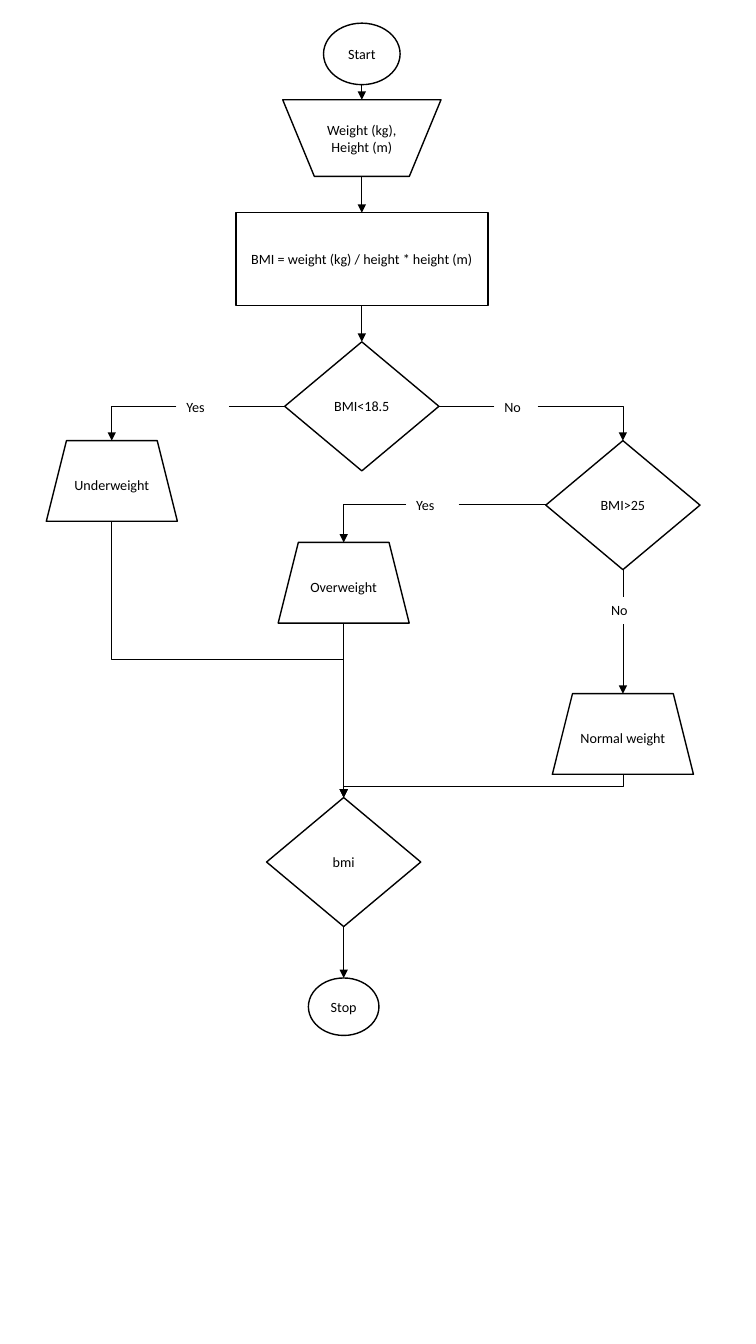
from lxml import etree
from pptx import Presentation
from pptx.dml.color import RGBColor
from pptx.enum.shapes import MSO_CONNECTOR, MSO_SHAPE
from pptx.enum.text import MSO_ANCHOR, PP_ALIGN
from pptx.oxml.ns import qn
from pptx.util import Inches, Pt

CIRCLE = MSO_SHAPE.FLOWCHART_CONNECTOR
INPUT = MSO_SHAPE.FLOWCHART_MANUAL_OPERATION
PROCESS = MSO_SHAPE.RECTANGLE
DECISION = MSO_SHAPE.DIAMOND
OUTPUT = MSO_SHAPE.TRAPEZOID
STRAIGHT, ELBOW = MSO_CONNECTOR.STRAIGHT, MSO_CONNECTOR.ELBOW

THEME = {
    "font": "Calibri", "size": Pt(10.1),
    "ink": RGBColor(0, 0, 0), "paper": RGBColor(255, 255, 255),
    "outline": Pt(1), "arrow": Pt(0.5),
}

# Column centres
LEFT, MERGE, MAIN, RIGHT = 1.11, 3.41, 3.59, 6.18

# Steps: kind, text, centre x, top, width, height
STEPS = {
    "start": (CIRCLE, "Start", MAIN, 0.23, 0.76, 0.61),
    "input": (INPUT, "Weight (kg),\vHeight (m)", MAIN, 0.99, 1.57, 0.76),
    "formula": (PROCESS, "BMI = weight (kg) / height * height (m)", MAIN, 2.11, 2.5, 0.92),
    "low": (DECISION, "BMI<18.5", MAIN, 3.39, 1.53, 1.28),
    "high": (DECISION, "BMI>25", RIGHT, 4.37, 1.53, 1.28),
    "under": (OUTPUT, "Underweight", LEFT, 4.37, 1.3, 0.8),
    "over": (OUTPUT, "Overweight", MERGE, 5.38, 1.3, 0.8),
    "normal": (OUTPUT, "Normal weight", RIGHT, 6.88, 1.4, 0.8),
    "result": (DECISION, "bmi", MERGE, 7.91, 1.53, 1.28),
    "stop": (CIRCLE, "Stop", MERGE, 9.7, 0.7, 0.57),
}

# Branch labels: text, centre x, top, width, height
LABELS = {
    "low yes": ("Yes", 2.01, 3.9, 0.52, 0.27),
    "low no": ("No", 5.12, 3.9, 0.43, 0.27),
    "high yes": ("Yes", 4.29, 4.87, 0.52, 0.27),
    "high no": ("No", RIGHT, 5.92, 0.43, 0.27),
}

# Flows: from, side, to, side, route, arrowhead
FLOWS = [
    ("start", "bottom", "input", "top", "straight", True),
    ("input", "bottom", "formula", "top", "straight", True),
    ("formula", "bottom", "low", "top", "straight", True),
    ("low yes", "right", "low", "left", "straight", False),
    ("low yes", "left", "under", "top", "corner", True),
    ("low no", "left", "low", "right", "straight", False),
    ("low no", "right", "high", "top", "corner", True),
    ("high yes", "right", "high", "left", "straight", False),
    ("high yes", "left", "over", "top", "corner", True),
    ("high", "bottom", "high no", "top", "straight", False),
    ("high no", "bottom", "normal", "top", "straight", True),
    ("normal", "bottom", "result", "top", "step", True),
    ("under", "bottom", "result", "top", "step", True),
    ("over", "bottom", "result", "top", "straight", True),
    ("result", "bottom", "stop", "top", "straight", True),
]

prs = Presentation()
prs.slide_width, prs.slide_height = Inches(7.5), Inches(13.33)
slide = prs.slides.add_slide(prs.slide_layouts[6])


def frame(center, top, width, height):
    return [Inches(v) for v in (center - width / 2, top, width, height)]


def write(text_frame, text):
    text_frame.word_wrap = True
    paragraph = text_frame.paragraphs[0]
    paragraph.text = text
    font = paragraph.font
    font.name, font.size = THEME["font"], THEME["size"]
    font.color.rgb = THEME["ink"]
    return paragraph


def side_point(name, side):
    center, top, width, height = (STEPS.get(name) or LABELS[name])[-4:]
    return {
        "top": (center, top),
        "bottom": (center, top + height),
        "left": (center - width / 2, top + height / 2),
        "right": (center + width / 2, top + height / 2),
    }[side]


def add_flow(start, end, route, arrowhead):
    (x1, y1), (x2, y2) = start, end
    if route == "straight":
        # Level or plumb: absorb rounding between the two ends
        if abs(x2 - x1) < abs(y2 - y1):
            x2 = x1
        else:
            y2 = y1
    turn = 0
    if route == "step":
        # Down, across, down: a quarter-turned elbow about the same centre
        mid_x, mid_y = (x1 + x2) / 2, (y1 + y2) / 2
        half_run, half_drop = abs(x2 - x1) / 2, (y2 - y1) / 2
        heading = 1 if x2 > x1 else -1
        turn = 270 if heading > 0 else 90
        x1, x2 = mid_x + heading * half_drop, mid_x - heading * half_drop
        y1, y2 = mid_y - half_run, mid_y + half_run
    flow = slide.shapes.add_connector(
        STRAIGHT if route == "straight" else ELBOW,
        Inches(x1), Inches(y1), Inches(x2), Inches(y2))
    flow.line.color.rgb, flow.line.width = THEME["ink"], THEME["arrow"]
    properties = flow._element.spPr
    if turn:
        properties.find(qn("a:xfrm")).set("rot", str(turn * 60000))
    if route == "corner":
        properties.find(qn("a:prstGeom")).set("prst", "bentConnector2")
    if arrowhead:
        etree.SubElement(flow.line._get_or_add_ln(), qn("a:tailEnd"), type="triangle")
    etree.SubElement(properties, qn("a:effectLst"))


# Steps
for kind, text, *box in STEPS.values():
    step = slide.shapes.add_shape(kind, *frame(*box))
    step.shadow.inherit = False
    step.fill.solid()
    step.fill.fore_color.rgb = THEME["paper"]
    step.line.color.rgb, step.line.width = THEME["ink"], THEME["outline"]
    body = step.text_frame
    body.margin_left = body.margin_right = body.margin_top = body.margin_bottom = 0
    body.vertical_anchor = MSO_ANCHOR.MIDDLE
    write(body, text).alignment = PP_ALIGN.CENTER

# Branch labels
for text, *box in LABELS.values():
    write(slide.shapes.add_textbox(*frame(*box)).text_frame, text)

# Flows
for source, source_side, target, target_side, route, arrowhead in FLOWS:
    add_flow(side_point(source, source_side), side_point(target, target_side),
             route, arrowhead)

prs.save("out.pptx")
